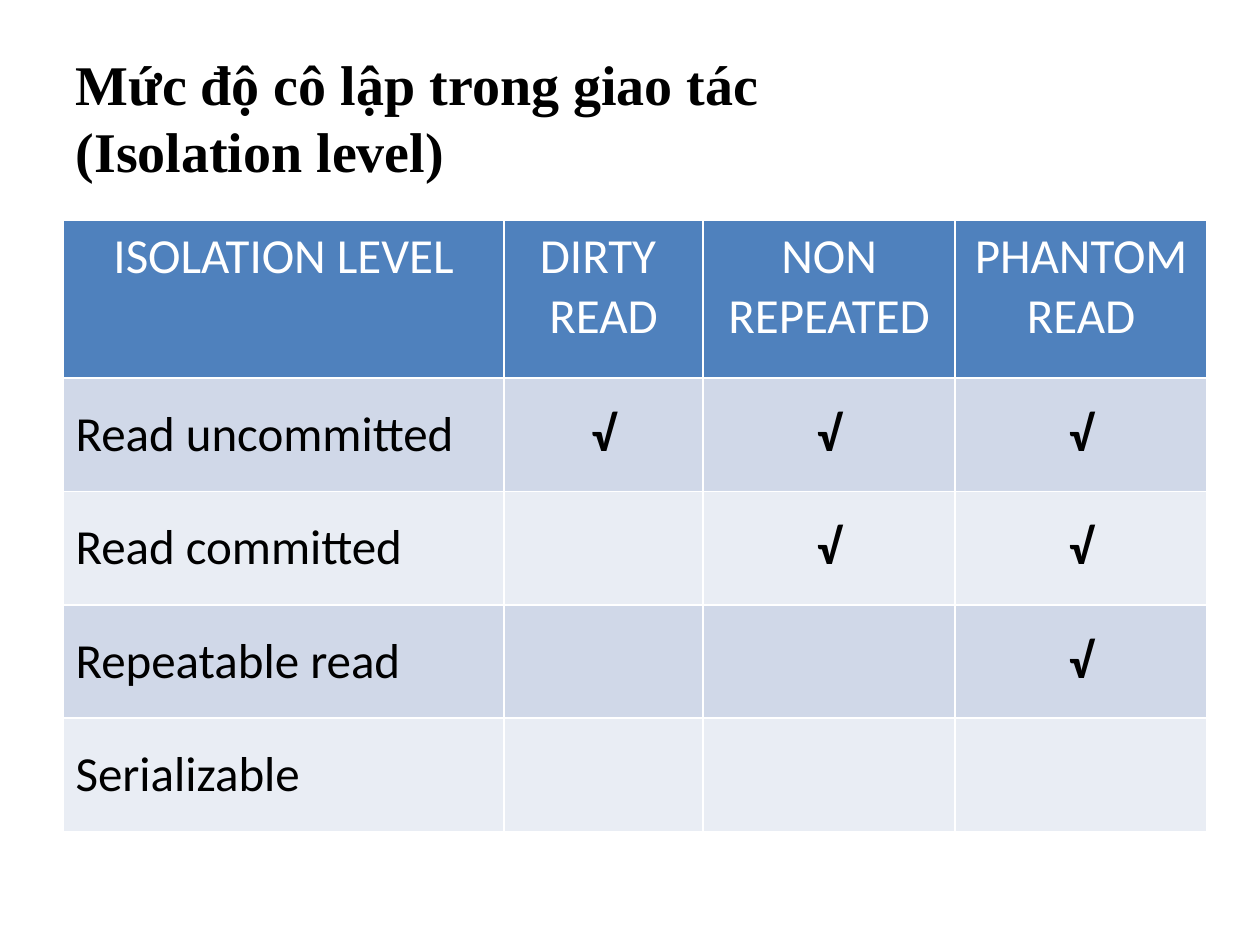
from pptx import Presentation
from pptx import util as u
from pptx.dml.color import RGBColor
from pptx.enum import text

THEME = {
    "title": {"name": "Times New Roman", "size": u.Pt(32), "bold": True},
    "label": {"name": "Calibri", "size": u.Pt(28), "bold": False},
    "mark": {"name": "Calibri", "size": u.Pt(28), "bold": True},
    "ink": RGBColor.from_string("000000"),
    "header_ink": RGBColor.from_string("FFFFFF"),
    "header_fill": RGBColor.from_string("4F81BD"),
    "bands": [RGBColor.from_string(c) for c in ("D0D8E8", "E9EDF4")],
}
COLUMNS = [3.5, 1.58, 2, 2]
ROWS = [1.25] + [0.9] * 4
CHECK = "√"
LEVELS = [
    ["ISOLATION LEVEL", "DIRTY \nREAD", "NON REPEATED", "PHANTOM READ"],
    ["Read uncommitted", CHECK, CHECK, CHECK],
    ["Read committed", "", CHECK, CHECK],
    ["Repeatable read", "", "", CHECK],
    ["Serializable", "", "", ""],
]


def style(para, look, color, align):
    para.alignment = align
    for target in [para, *para.runs]:
        for key, value in THEME[look].items():
            setattr(target.font, key, value)
        target.font.color.rgb = color


deck = Presentation()
deck.slide_width, deck.slide_height = u.Inches(10), u.Inches(7.5)
page = deck.slides.add_slide(deck.slide_layouts[5])

title = page.shapes.title
title.left, title.top = u.Inches(0.5), u.Inches(0.3)
title.width, title.height = u.Inches(9), u.Inches(1.25)
title.text_frame.text = "Mức độ cô lập trong giao tác\v(Isolation level)"
title.text_frame.vertical_anchor = text.MSO_ANCHOR.MIDDLE
style(title.text_frame.paragraphs[0], "title", THEME["ink"], text.PP_ALIGN.LEFT)

# The default table style supplies the white rules between cells.
table = page.shapes.add_table(
    len(ROWS), len(COLUMNS), u.Inches(0.5), u.Inches(1.75),
    u.Inches(sum(COLUMNS)), u.Inches(sum(ROWS))).table
for column, width in zip(table.columns, COLUMNS):
    column.width = u.Inches(width)

for r, (height, words) in enumerate(zip(ROWS, LEVELS)):
    table.rows[r].height = u.Inches(height)
    header = r == 0
    for c, word in enumerate(words):
        cell = table.cell(r, c)
        cell.fill.solid()
        cell.fill.fore_color.rgb = (
            THEME["header_fill"] if header else THEME["bands"][(r - 1) % 2])
        cell.vertical_anchor = (
            text.MSO_ANCHOR.TOP if header else text.MSO_ANCHOR.MIDDLE)
        cell.text_frame.text = word
        for para in cell.text_frame.paragraphs:
            style(para,
                  "label" if header or c == 0 else "mark",
                  THEME["header_ink" if header else "ink"],
                  text.PP_ALIGN.CENTER if header or c else text.PP_ALIGN.LEFT)

deck.save("out.pptx")
